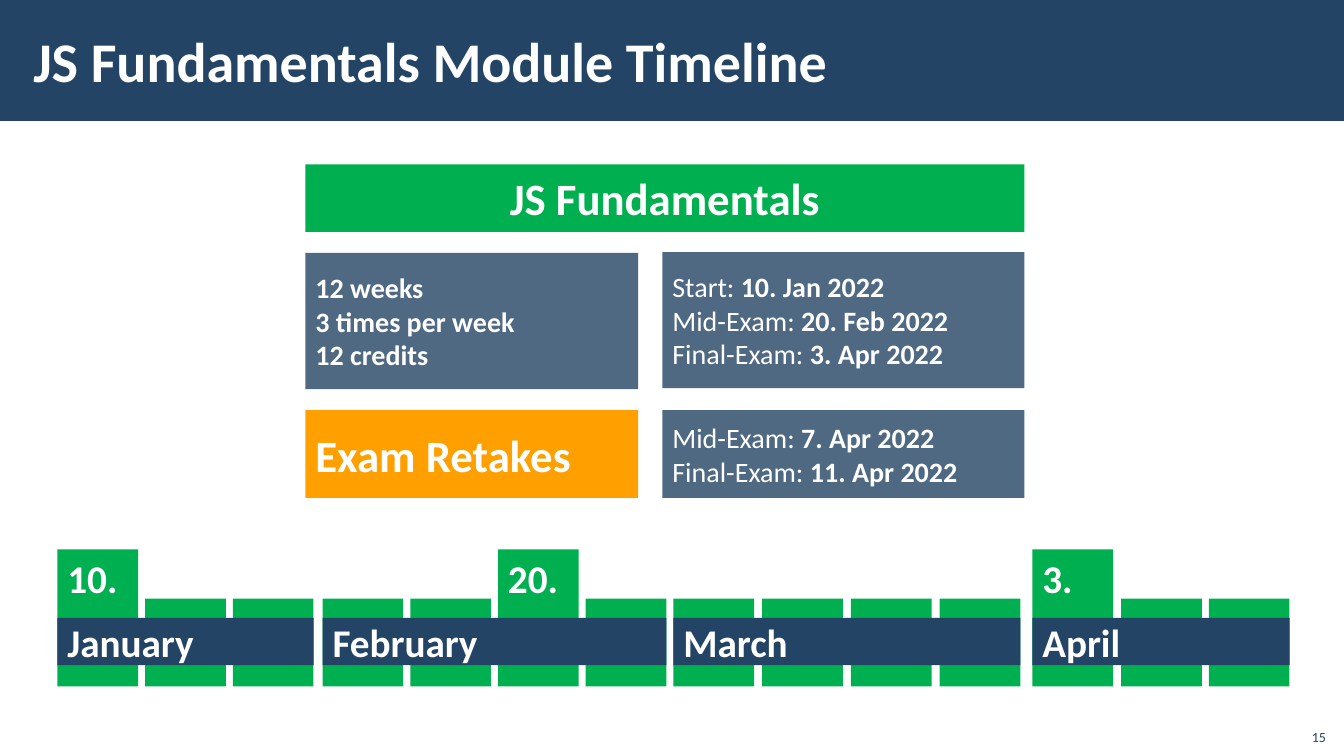
import pptx
import pptx.util
import pptx.dml.color
import pptx.enum.shapes
import pptx.enum.text
import pptx.oxml.ns
import lxml.etree

PX = 9144
NAVY, GREEN, AMBER, WHITE = "234465", "00B050", "FFA000", "FFFFFF"
ALIGN = pptx.enum.text.PP_ALIGN
ANCHOR = pptx.enum.text.MSO_ANCHOR


def paint(target, color):
    target.rgb = pptx.dml.color.RGBColor.from_string(color)


def style(run, size, color=WHITE, bold=True):
    run.font.name = "Calibri"
    run.font.size = pptx.util.Pt(size)
    run.font.bold = bold
    paint(run.font.color, color)


def block(slide, box, color, alpha=None):
    shape = slide.shapes.add_shape(
        pptx.enum.shapes.MSO_SHAPE.RECTANGLE, *[n * PX for n in box])
    shape.shadow.inherit = False
    shape.fill.solid()
    paint(shape.fill.fore_color, color)
    shape.line.fill.background()
    if alpha:
        tint = shape.fill._xPr.find(".//" + pptx.oxml.ns.qn("a:srgbClr"))
        lxml.etree.SubElement(
            tint, pptx.oxml.ns.qn("a:alpha"), val=str(alpha * 1000))
    return shape


def write(shape, text, size, align=ALIGN.LEFT, anchor=ANCHOR.MIDDLE, color=WHITE, bold=True):
    frame = shape.text_frame
    frame.word_wrap = True
    frame.vertical_anchor = anchor
    frame.text = text
    for para in frame.paragraphs:
        para.alignment = align
        for run in para.runs:
            style(run, size, color, bold)


def header(slide, box, text):
    left, top, width, height = box
    bar = block(slide, box, NAVY)
    title = slide.shapes.title
    title.element.addprevious(bar.element)
    title.left, title.top = (left + 21) * PX, (top + 11) * PX
    title.width, title.height = 1063 * PX, (height - 23) * PX
    write(title, text, 40)
    frame = title.text_frame
    frame.margin_left = frame.margin_right = 12 * PX
    frame.margin_top = frame.margin_bottom = 4 * PX


def dates(slide, box, rows):
    shape = block(slide, box, NAVY, 80)
    write(shape, "\n".join(label for label, day in rows), 20, bold=False)
    for para, (label, day) in zip(shape.text_frame.paragraphs, rows):
        run = para.add_run()
        run.text = day
        style(run, 20)


def facts(slide, box):
    left, top, width, height = box
    wide, side = 330, 359
    right = left + width - side
    write(block(slide, (left, top, width, 67), GREEN), "JS Fundamentals", 32, ALIGN.CENTER)
    write(block(slide, (left, top + 88, wide, 135), NAVY, 80),
          "12 weeks\n3 times per week\n12 credits", 20)
    dates(slide, (right, top + 87, side, 135), [
        ("Start: ", "10. Jan 2022"),
        ("Mid-Exam: ", "20. Feb 2022"),
        ("Final-Exam: ", "3. Apr 2022")])
    low = top + height - 87
    write(block(slide, (left, low, wide, 87), AMBER), "Exam Retakes", 32)
    dates(slide, (right, low, side, 87), [
        ("Mid-Exam: ", "7. Apr 2022"),
        ("Final-Exam: ", "11. Apr 2022")])


def month(slide, box, name, weeks, marks):
    left, top, width, height = box
    week = 80
    step = (width - week) / (weeks - 1)
    for i in range(weeks):
        drop = 0 if i in marks else 49
        spot = round(left + i * step)
        shape = block(slide, (spot, top + drop, week, height - drop), GREEN)
        if i in marks:
            write(shape, marks[i], 28, anchor=ANCHOR.TOP)
    band = block(slide, (left, top + 68, width, 47), NAVY)
    write(band, name, 28)
    band.text_frame.margin_top = band.text_frame.margin_bottom = 0


def timeline(slide, box):
    left, top, width, height = box
    months = [
        (0, 254, "January", 3, {0: "10."}),
        (263, 341, "February", 4, {2: "20."}),
        (611, 344, "March", 4, {}),
        (967, width - 967, "April", 3, {0: "3."})]
    for shift, span, name, weeks, marks in months:
        month(slide, (left + shift, top, span, height), name, weeks, marks)


def number(slide, box, text):
    label = slide.shapes.add_textbox(*[n * PX for n in box])
    write(label, text, 10, ALIGN.RIGHT, ANCHOR.BOTTOM, NAVY, False)


def main():
    deck = pptx.Presentation()
    deck.slide_width, deck.slide_height = 1333 * PX, 750 * PX
    slide = deck.slides.add_slide(deck.slide_layouts[5])
    header(slide, (0, 0, 1333, 120), "JS Fundamentals Module Timeline")
    facts(slide, (303, 163, 713, 331))
    timeline(slide, (57, 545, 1222, 136))
    number(slide, (1285, 712, 40, 32), "15")
    deck.save("out.pptx")


if __name__ == "__main__":
    main()
